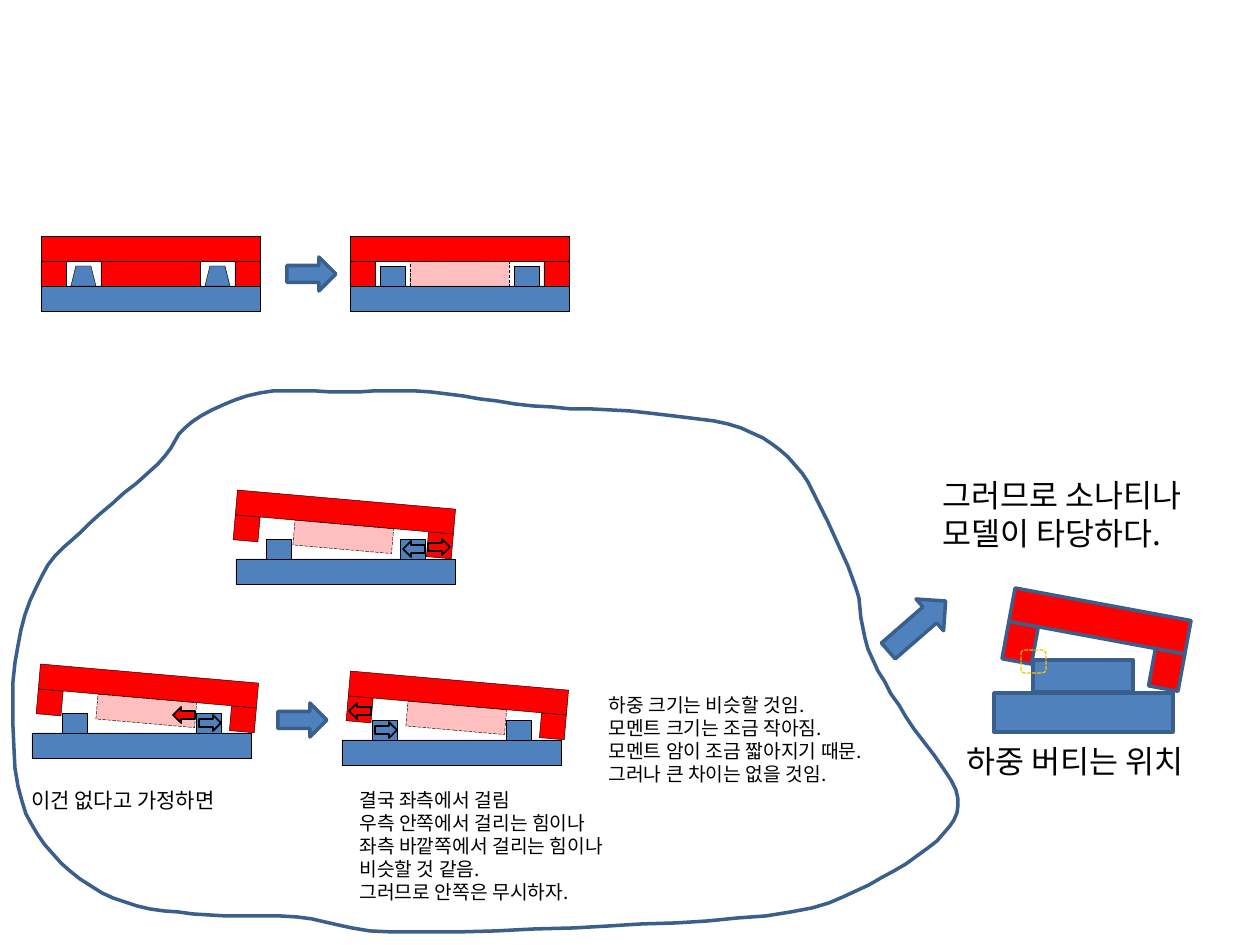
from math import cos, radians, sin
from lxml.etree import SubElement
from pptx import Presentation
from pptx.dml.color import RGBColor
from pptx.enum.dml import MSO_LINE
from pptx.enum.shapes import MSO_SHAPE
from pptx.enum.text import MSO_AUTO_SIZE
from pptx.oxml.ns import qn
from pptx.util import Emu, Pt

PX = 914400 / 126
FONT = "Noto Sans CJK KR"
RED = RGBColor(0xFF, 0x00, 0x00)
BLUE = RGBColor(0x4F, 0x81, 0xBD)
NAVY = RGBColor(0x3A, 0x5F, 0x8C)
GOLD = RGBColor(0xFF, 0xC0, 0x00)
BLACK = RGBColor(0x00, 0x00, 0x00)

RECT, PEG, ARROW = MSO_SHAPE.RECTANGLE, MSO_SHAPE.TRAPEZOID, MSO_SHAPE.RIGHT_ARROW
THIN = {"color": BLACK, "width": Pt(0.25)}
DASHED = {**THIN, "dash_style": MSO_LINE.LONG_DASH}
BOLD = {"color": BLACK, "width": Pt(1)}
OUTLINE = {"color": NAVY, "width": Pt(2)}
MARKER = {"color": GOLD, "width": Pt(0.75), "dash_style": MSO_LINE.SQUARE_DOT}

BOUNDARY_SIDES = {
    "left": [(53, 854), (18, 786), (15, 663), (42, 576), (89, 524), (158, 464), (192, 422)],
    "top": [(260, 393), (345, 392), (431, 392), (533, 406), (648, 413), (741, 428)],
    "right": [(795, 465), (828, 522), (856, 588), (868, 649), (906, 717), (956, 790)],
    "bottom": [(944, 833), (881, 878), (791, 912), (609, 926), (393, 932), (297, 917),
               (193, 914), (113, 898)],
}
CURVE_STEPS = 6

BAR, FOOT, CORE, POST, FORCE = (219, 25), (25, 25), (99, 25), (25, 20), (22, 16)
POST_LEFTS = (30, 164)
FLAT_LID_RISE = 37
TILTED_LID_RISE = 47
TILT = 5

FLAT_MODELS = [
    {"base": (41, 286), "solid": True},
    {"base": (350, 286), "solid": False},
]
TILTED_MODELS = [
    {"base": (236, 559), "lid_shift": 0, "forces": [("right foot", 0, RED), ("right post", 180, BLUE)]},
    {"base": (342, 740), "lid_shift": 7, "forces": [("left post", 0, BLUE), ("left foot", 180, RED)]},
    {"base": (32, 733), "lid_shift": 7, "forces": [("right post", 0, BLUE), ("core end", 180, RED)]},
]
FORCE_SPOTS = {
    "left post": (33, -18), "right post": (167, -18),
    "left foot": (7, -37), "right foot": (192, -20), "core end": (141, -26),
}
RESULT = {
    "lid_center": (1100, 621), "bar": (179, 34), "foot": (30, 38), "tilt": 10.5,
    "blocks": [((1033, 660), (100, 32)), ((994, 693), (179, 39))],
    "contact": ((1021, 650), (25, 23)),
}
STEP_ARROWS = [
    ((287, 257), (49, 34), 0),
    ((278, 703), (49, 34), 0),
    ((879, 605), (76, 42), 319),
]
NOTES = [
    ((19, 781), (232, 38), 12, False, ["이건 없다고 가정하면"]),
    ((347, 782), (299, 130), 11, False, [
        "결국 좌측에서 걸림", "우측 안쪽에서 걸리는 힘이나", "좌측 바깥쪽에서 걸리는 힘이나",
        "비슷할 것 같음.", "그러므로 안쪽은 무시하자."]),
    ((930, 470), (296, 89), 18, True, ["그러므로 소나티나 모델이 타당하다."]),
    ((954, 736), (271, 50), 18, False, ["하중 버티는 위치"]),
    ((596, 687), (310, 106), 11, False, [
        "하중 크기는 비슷할 것임.", "모멘트 크기는 조금 작아짐.",
        "모멘트 암이 조금 짧아지기 때문.", "그러나 큰 차이는 없을 것임."]),
]


def emu(*lengths):
    return [Emu(round(length * PX)) for length in lengths]


def shift(point, offset):
    return point[0] + offset[0], point[1] + offset[1]


def rotate(offset, degrees):
    x, y = offset
    c, s = cos(radians(degrees)), sin(radians(degrees))
    return x * c - y * s, x * s + y * c


def set_format(target, values):
    for name, value in values.items():
        setattr(target, name, value)


def style(part, fill, line):
    part.shadow.inherit = False
    if fill is None:
        part.fill.background()
    else:
        part.fill.solid()
        part.fill.fore_color.rgb = fill
    set_format(part.line, {k: v for k, v in line.items() if k != "color"})
    part.line.color.rgb = line["color"]


def draw(shapes, kind, at, size, fill, line=THIN, rotation=0):
    part = shapes.add_shape(kind, *emu(*at, *size))
    part.rotation = rotation
    style(part, fill, line)
    return part


def draw_lid(shapes, center, bar=BAR, foot=FOOT, tilt=0, line=THIN, core=None):
    def place(offset, size, outline):
        middle = shift(center, rotate(offset, tilt))
        corner = shift(middle, (-size[0] / 2, -size[1] / 2))
        return draw(shapes, RECT, corner, size, RED, outline, tilt)

    reach, drop = (bar[0] - foot[0]) / 2, (bar[1] + foot[1]) / 2
    for side in (-1, 1):
        place((side * reach, drop), foot, line)
    place((0, 0), bar, line)
    if core == "solid":
        place((0, drop), CORE, line)
    elif core == "removed":
        removed = place((0, drop), CORE, DASHED)
        tint = removed.fill._xPr.find(qn("a:solidFill"))[0]
        SubElement(tint, qn("a:alpha"), val="25000")


def draw_base(shapes, base, tapered=False):
    draw(shapes, RECT, base, BAR, BLUE)
    for x in POST_LEFTS:
        post = draw(shapes, PEG, shift(base, (x, -POST[1])), POST, BLUE)
        if not tapered:
            post.adjustments[0] = 0


def draw_flat_model(shapes, base, solid):
    lid_center = shift(base, (BAR[0] / 2, -FLAT_LID_RISE))
    draw_lid(shapes, lid_center, core="solid" if solid else "removed")
    draw_base(shapes, base, solid)


def draw_tilted_model(shapes, base, lid_shift, forces):
    draw_base(shapes, base)
    lid_center = shift(base, (BAR[0] / 2 + lid_shift, -TILTED_LID_RISE))
    draw_lid(shapes, lid_center, tilt=TILT, core="removed")
    for spot, rotation, fill in forces:
        draw(shapes, ARROW, shift(base, FORCE_SPOTS[spot]), FORCE, fill, BOLD, rotation)


def draw_result(shapes, lid_center, bar, foot, tilt, blocks, contact):
    draw_lid(shapes, lid_center, bar, foot, tilt, OUTLINE)
    for at, size in blocks:
        draw(shapes, RECT, at, size, BLUE, OUTLINE)
    draw(shapes, MSO_SHAPE.ROUNDED_RECTANGLE, *contact, None, MARKER)


def spline(a, b, c, d, t):
    return b + t * (c - a + t * (2 * a - 5 * b + 4 * c - d + t * (3 * (b - c) + d - a))) / 2


def draw_boundary(shapes):
    anchors = [point for side in BOUNDARY_SIDES.values() for point in side]
    curve = []
    for i in range(len(anchors)):
        near = [anchors[(i + k) % len(anchors)] for k in (-1, 0, 1, 2)]
        for step in range(CURVE_STEPS):
            curve.append(tuple(spline(*axis, step / CURVE_STEPS) for axis in zip(*near)))
    pen = shapes.build_freeform(*curve[0], scale=PX)
    pen.add_line_segments(curve[1:], close=True)
    style(pen.convert_to_shape(), None, OUTLINE)


def write_note(shapes, at, size, points, wrap, lines):
    frame = shapes.add_textbox(*emu(*at, *size)).text_frame
    set_format(frame, {"word_wrap": wrap, "auto_size": MSO_AUTO_SIZE.SHAPE_TO_FIT_TEXT})
    for i, line in enumerate(lines):
        paragraph = frame.add_paragraph() if i else frame.paragraphs[0]
        run = paragraph.add_run()
        run.text = line
        set_format(run.font, {"name": FONT, "size": Pt(points)})
        run.font.color.rgb = BLACK
        SubElement(run.font._element, qn("a:ea"), typeface=FONT)


def main():
    deck = Presentation()
    deck.slide_width, deck.slide_height = emu(1260, 945)
    shapes = deck.slides.add_slide(deck.slide_layouts[6]).shapes
    draw_boundary(shapes)
    for model in FLAT_MODELS:
        draw_flat_model(shapes.add_group_shape().shapes, **model)
    for model in TILTED_MODELS:
        draw_tilted_model(shapes.add_group_shape().shapes, **model)
    draw_result(shapes.add_group_shape().shapes, **RESULT)
    for at, size, rotation in STEP_ARROWS:
        draw(shapes, ARROW, at, size, BLUE, OUTLINE, rotation)
    for note in NOTES:
        write_note(shapes, *note)
    deck.save("out.pptx")


if __name__ == "__main__":
    main()
